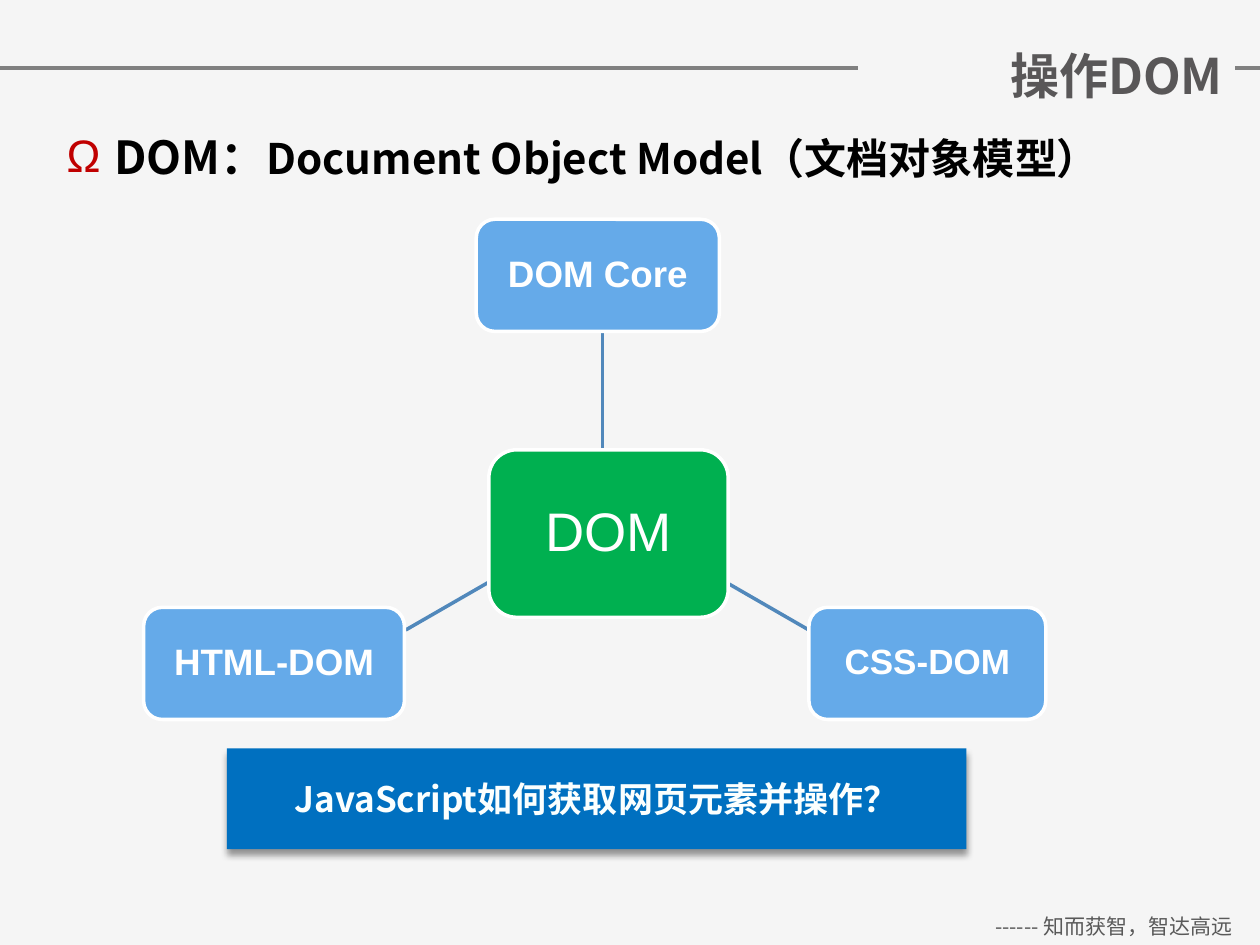
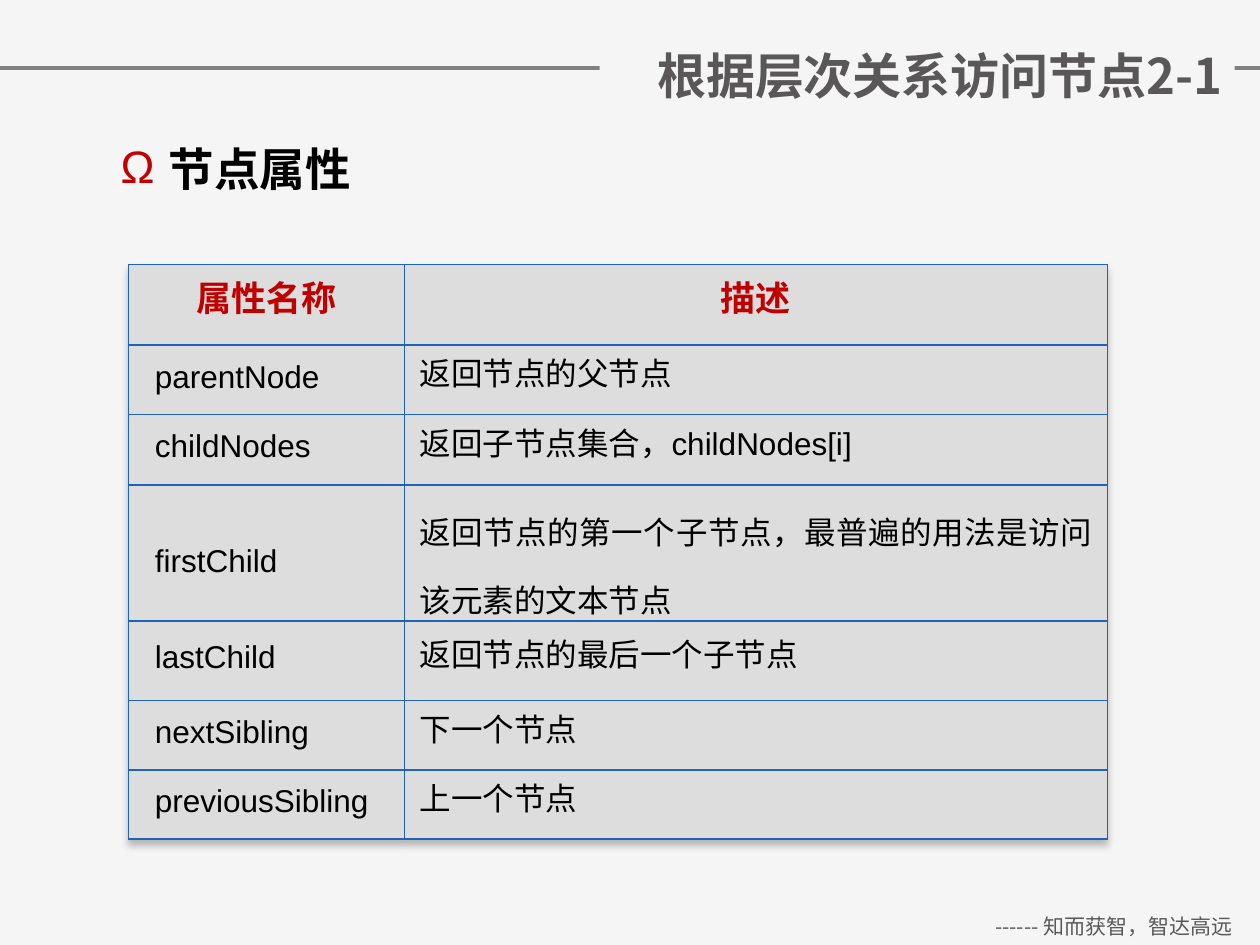
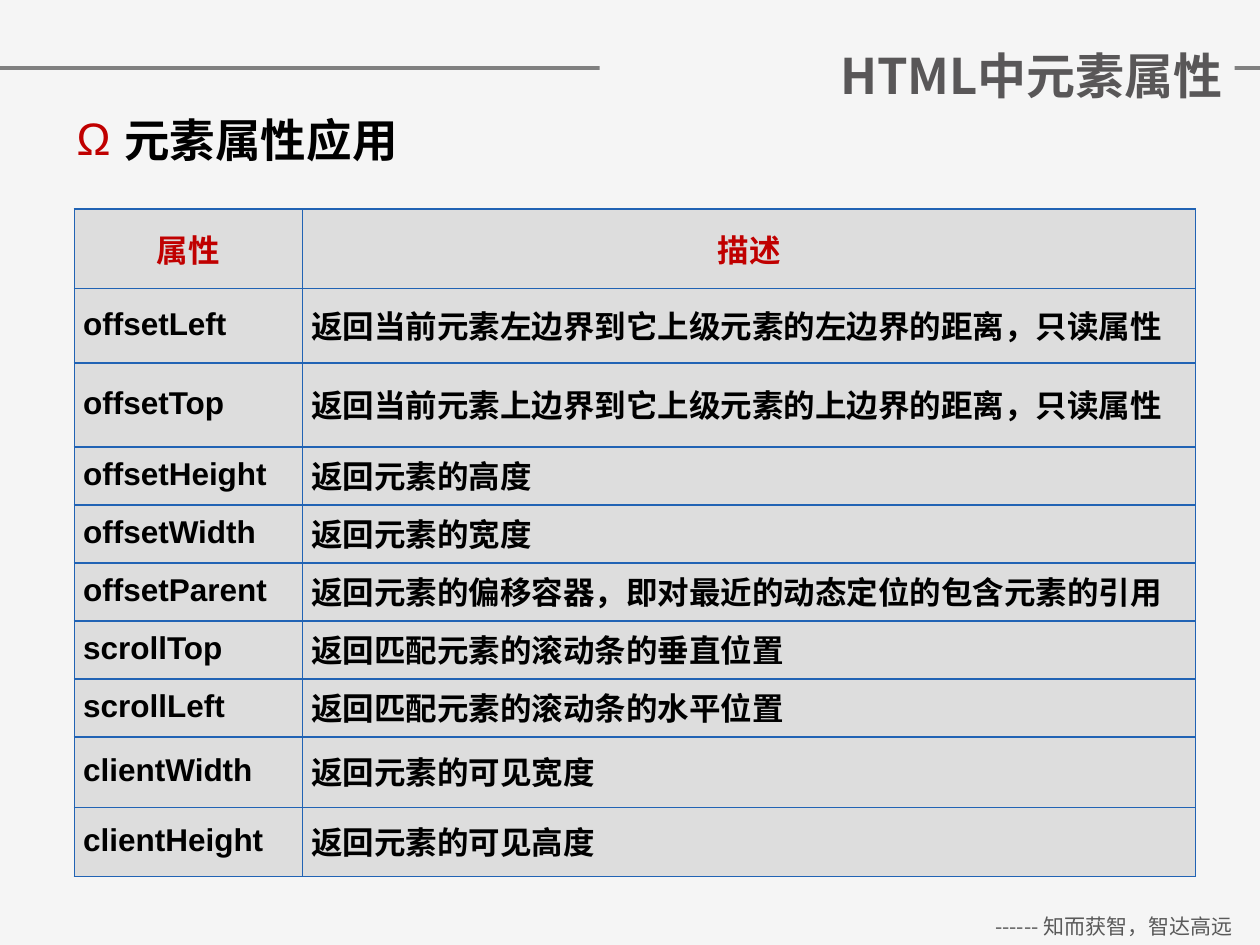
from dataclasses import dataclass

from lxml.etree import SubElement
from pptx import Presentation
from pptx.dml.color import RGBColor
from pptx.enum.shapes import MSO_CONNECTOR, MSO_SHAPE
from pptx.enum.text import MSO_ANCHOR, PP_ALIGN
from pptx.oxml.ns import qn
from pptx.oxml.xmlchemy import OxmlElement
from pptx.presentation import Presentation as Deck
from pptx.shapes.autoshape import Shape
from pptx.slide import Slide
from pptx.table import _Cell
from pptx.text.text import TextFrame, _Paragraph
from pptx.util import Inches, Length, Pt

PAPER = RGBColor(0xF5, 0xF5, 0xF5)
RULE_GRAY = RGBColor(0x80, 0x80, 0x80)
TITLE_GRAY = RGBColor(0x59, 0x57, 0x58)
FOOTER_GRAY = RGBColor(0x59, 0x59, 0x59)
BLACK = RGBColor(0, 0, 0)
WHITE = RGBColor(0xFF, 0xFF, 0xFF)
RED = RGBColor(0xC0, 0, 0)
GREEN = RGBColor(0, 0xB0, 0x50)
NODE_BLUE = RGBColor(0x65, 0xAA, 0xE9)
LINK_BLUE = RGBColor(0x51, 0x88, 0xBB)
BANNER_BLUE = RGBColor(0, 0x70, 0xC0)
BANNER_TEXT = RGBColor(0xFB, 0xFF, 0xFE)
CELL_GRAY = RGBColor(0xDD, 0xDD, 0xDD)
BORDER_BLUE = RGBColor(0x21, 0x63, 0xB4)

HAN_FONT = "Noto Sans CJK SC"
LATIN_FONT = "Arial"
RIGHT_EDGE = 9.8


@dataclass(frozen=True)
class Box:
    left: float
    top: float
    width: float
    height: float

    def lengths(self) -> tuple[Length, ...]:
        return tuple(Inches(v) for v in (self.left, self.top, self.width, self.height))


@dataclass(frozen=True)
class Node:
    label: str
    box: Box
    fill: RGBColor = NODE_BLUE
    size: int = 21
    bold: bool = True


@dataclass(frozen=True)
class Link:
    x1: float
    y1: float
    x2: float
    y2: float


@dataclass(frozen=True)
class Property:
    name: str
    description: str
    height: float
    line_spacing: float | Length | None = None


@dataclass(frozen=True)
class PropertyTable:
    box: Box
    headers: tuple[str, str]
    header_height: float
    header_size: int
    header_anchor: MSO_ANCHOR
    column_widths: tuple[float, float]
    side_insets: tuple[float, float]
    bottom_inset: float
    name_indent: float
    bold: bool
    properties: tuple[Property, ...]


NODES = (
    Node("DOM", Box(3.88, 3.57, 1.9, 1.33), GREEN, 31, False),
    Node("DOM Core", Box(3.78, 1.74, 1.93, 0.89)),
    Node("CSS-DOM", Box(6.42, 4.82, 1.88, 0.89), size=20),
    Node("HTML-DOM", Box(1.14, 4.82, 2.07, 0.89)),
)
LINKS = (
    Link(4.78, 3.57, 4.78, 2.64),
    Link(5.76, 4.62, 6.42, 5),
    Link(3.88, 4.62, 3.22, 5),
)
NODE_TABLE = PropertyTable(
    box=Box(1.02, 2.1, 7.76, 4.41),
    headers=("属性名称", "描述"),
    header_height=0.64,
    header_size=20,
    header_anchor=MSO_ANCHOR.TOP,
    column_widths=(2.19, 5.58),
    side_insets=(0.07, 0.12),
    bottom_inset=0,
    name_indent=0.14,
    bold=False,
    properties=(
        Property("parentNode", "返回节点的父节点", 0.55, Pt(17)),
        Property("childNodes", "返回子节点集合，childNodes[i]", 0.56, Pt(17)),
        Property("firstChild", "返回节点的第一个子节点，最普遍的用法是访问该元素的文本节点", 1.08, 1.5),
        Property("lastChild", "返回节点的最后一个子节点", 0.63, Pt(17)),
        Property("nextSibling", "下一个节点", 0.55, Pt(17)),
        Property("previousSibling", "上一个节点", 0.55, Pt(17)),
    ),
)
ELEMENT_TABLE = PropertyTable(
    box=Box(0.59, 1.66, 8.9, 5.31),
    headers=("属性", "描述"),
    header_height=0.63,
    header_size=18,
    header_anchor=MSO_ANCHOR.MIDDLE,
    column_widths=(1.81, 7.09),
    side_insets=(0.07, 0.07),
    bottom_inset=0.02,
    name_indent=0,
    bold=True,
    properties=(
        Property("offsetLeft", "返回当前元素左边界到它上级元素的左边界的距离，只读属性", 0.59),
        Property("offsetTop", "返回当前元素上边界到它上级元素的上边界的距离，只读属性", 0.67),
        Property("offsetHeight", "返回元素的高度", 0.46),
        Property("offsetWidth", "返回元素的宽度", 0.46),
        Property("offsetParent", "返回元素的偏移容器，即对最近的动态定位的包含元素的引用", 0.46),
        Property("scrollTop", "返回匹配元素的滚动条的垂直位置", 0.46),
        Property("scrollLeft", "返回匹配元素的滚动条的水平位置", 0.46),
        Property("clientWidth", "返回元素的可见宽度", 0.56),
        Property("clientHeight", "返回元素的可见高度", 0.55),
    ),
)


def write(
    paragraph: _Paragraph,
    text: str,
    *,
    size: int,
    color: RGBColor,
    bold: bool = False,
    latin: str = HAN_FONT,
    align: PP_ALIGN = PP_ALIGN.LEFT,
    line_spacing: float | Length | None = None,
) -> None:
    paragraph.alignment = align
    paragraph.line_spacing = line_spacing
    run = paragraph.add_run()
    run.text = text
    run.font.size = Pt(size)
    run.font.bold = bold
    run.font.color.rgb = color
    run.font.name = latin
    SubElement(run.font._element, qn("a:ea"), typeface=HAN_FONT)


def add_shadow(effects, opacity: int) -> None:
    shadow = SubElement(
        effects, qn("a:outerShdw"), blurRad=str(Pt(4)), dist=str(Pt(3)),
        dir="5400000", algn="t", rotWithShape="0",
    )
    tone = SubElement(shadow, qn("a:srgbClr"), val="000000")
    SubElement(tone, qn("a:alpha"), val=str(opacity * 1000))


def add_line(slide: Slide, link: Link, color: RGBColor) -> None:
    ends = (Inches(v) for v in (link.x1, link.y1, link.x2, link.y2))
    line = slide.shapes.add_connector(MSO_CONNECTOR.STRAIGHT, *ends)
    line.line.color.rgb = color
    line.line.width = Pt(2)
    SubElement(line._element.spPr, qn("a:effectLst"))


def add_filled(slide: Slide, kind: MSO_SHAPE, box: Box, fill: RGBColor) -> Shape:
    shape = slide.shapes.add_shape(kind, *box.lengths())
    shape.shadow.inherit = False
    shape.fill.solid()
    shape.fill.fore_color.rgb = fill
    shape.line.fill.background()
    shape.text_frame.word_wrap = True
    shape.text_frame.vertical_anchor = MSO_ANCHOR.MIDDLE
    return shape


def add_text_area(slide: Slide, box: Box) -> TextFrame:
    frame = slide.shapes.add_textbox(*box.lengths()).text_frame
    frame.word_wrap = True
    return frame


def start_slide(deck: Deck, title: str, title_width: float = 5.04) -> Slide:
    slide = deck.slides.add_slide(deck.slide_layouts[6])
    slide.background.fill.solid()
    slide.background.fill.fore_color.rgb = PAPER
    add_line(slide, Link(0, 0.54, 10, 0.54), RULE_GRAY)
    footer = add_text_area(slide, Box(7.68, 7.2, 2.32, 0.3))
    write(footer.paragraphs[0], "------ 知而获智，智达高远", size=12,
          color=FOOTER_GRAY, align=PP_ALIGN.CENTER)
    title_box = Box(RIGHT_EDGE - title_width, 0.31, title_width, 0.57)
    band = add_filled(slide, MSO_SHAPE.RECTANGLE, title_box, PAPER)
    write(band.text_frame.paragraphs[0], title, size=28, color=TITLE_GRAY,
          bold=True, align=PP_ALIGN.RIGHT)
    return slide


def add_topic(slide: Slide, box: Box, *parts: tuple[str, int],
              line_spacing: float | None = None) -> None:
    paragraph = add_text_area(slide, box).paragraphs[0]
    for text, size in parts:
        write(paragraph, text, size=size, color=BLACK, bold=True, line_spacing=line_spacing)
    layout = paragraph._p.get_or_add_pPr()
    layout.set("marL", str(Inches(0.38)))
    layout.set("indent", str(Inches(-0.38)))
    bullet_color = SubElement(layout, qn("a:buClr"))
    SubElement(bullet_color, qn("a:srgbClr"), val=str(RED))
    SubElement(layout, qn("a:buFont"), typeface=LATIN_FONT)
    SubElement(layout, qn("a:buChar"), char="Ω")


def add_node(slide: Slide, node: Node) -> None:
    shape = add_filled(slide, MSO_SHAPE.ROUNDED_RECTANGLE, node.box, node.fill)
    shape.line.color.rgb = WHITE
    shape.line.width = Pt(2)
    write(shape.text_frame.paragraphs[0], node.label, size=node.size, color=WHITE,
          bold=node.bold, latin=LATIN_FONT, align=PP_ALIGN.CENTER, line_spacing=0.9)


def style_cell(cell: _Cell) -> None:
    cell.fill.solid()
    cell.fill.fore_color.rgb = CELL_GRAY
    for position, side in enumerate(("a:lnL", "a:lnR", "a:lnT", "a:lnB")):
        border = OxmlElement(side)
        border.set("w", str(Pt(1)))
        paint = SubElement(border, qn("a:solidFill"))
        SubElement(paint, qn("a:srgbClr"), val=str(BORDER_BLUE))
        cell._tc.get_or_add_tcPr().insert(position, border)


def add_property_table(slide: Slide, spec: PropertyTable, shadowed: bool = False) -> None:
    table = slide.shapes.add_table(
        len(spec.properties) + 1, 2, *spec.box.lengths()
    ).table
    table.first_row = False
    table.horz_banding = False
    if shadowed:
        effects = OxmlElement("a:effectLst")
        add_shadow(effects, 25)
        table._tbl.tblPr.insert(0, effects)
    for column, width in zip(table.columns, spec.column_widths):
        column.width = Inches(width)
    table.rows[0].height = Inches(spec.header_height)
    for index, header in enumerate(spec.headers):
        cell = table.cell(0, index)
        style_cell(cell)
        cell.vertical_anchor = spec.header_anchor
        write(cell.text_frame.paragraphs[0], header, size=spec.header_size, color=RED,
              bold=True, latin=LATIN_FONT, align=PP_ALIGN.CENTER)
    for row, entry in enumerate(spec.properties, start=1):
        table.rows[row].height = Inches(entry.height)
        for index, text in enumerate((entry.name, entry.description)):
            cell = table.cell(row, index)
            style_cell(cell)
            cell.vertical_anchor = MSO_ANCHOR.MIDDLE
            cell.margin_left = cell.margin_right = Inches(spec.side_insets[index])
            cell.margin_top = 0
            cell.margin_bottom = Inches(spec.bottom_inset)
            paragraph = cell.text_frame.paragraphs[0]
            write(paragraph, text, size=18, color=BLACK, bold=spec.bold, latin=LATIN_FONT,
                  align=PP_ALIGN.JUSTIFY, line_spacing=entry.line_spacing)
            if index == 0:
                paragraph._p.get_or_add_pPr().set("indent", str(Inches(spec.name_indent)))


def build_dom_slide(deck: Deck) -> None:
    slide = start_slide(deck, "操作DOM", 2.99)
    add_topic(slide, Box(0.43, 0.76, 8.79, 1.16), ("DOM：", 26),
              ("Document Object Model（文档对象模型）", 24), line_spacing=1.5)
    for link in LINKS:
        add_line(slide, link, LINK_BLUE)
    for node in NODES:
        add_node(slide, node)
    question = add_filled(slide, MSO_SHAPE.RECTANGLE, Box(1.8, 5.94, 5.87, 0.8), BANNER_BLUE)
    add_shadow(question._element.spPr.find(qn("a:effectLst")), 40)
    write(question.text_frame.paragraphs[0], "JavaScript如何获取网页元素并操作？", size=20,
          color=BANNER_TEXT, bold=True, align=PP_ALIGN.CENTER)


def build_node_slide(deck: Deck) -> None:
    slide = start_slide(deck, "根据层次关系访问节点2-1")
    add_topic(slide, Box(0.86, 1.07, 8.36, 0.5), ("节点属性", 26))
    add_property_table(slide, NODE_TABLE, shadowed=True)


def build_element_slide(deck: Deck) -> None:
    slide = start_slide(deck, "HTML中元素属性")
    add_topic(slide, Box(0.51, 0.84, 8.36, 0.45), ("元素属性应用", 26))
    add_property_table(slide, ELEMENT_TABLE)


def main() -> None:
    deck = Presentation()
    deck.slide_width = Inches(10)
    deck.slide_height = Inches(7.5)
    build_dom_slide(deck)
    build_node_slide(deck)
    build_element_slide(deck)
    deck.save("out.pptx")


if __name__ == "__main__":
    main()
